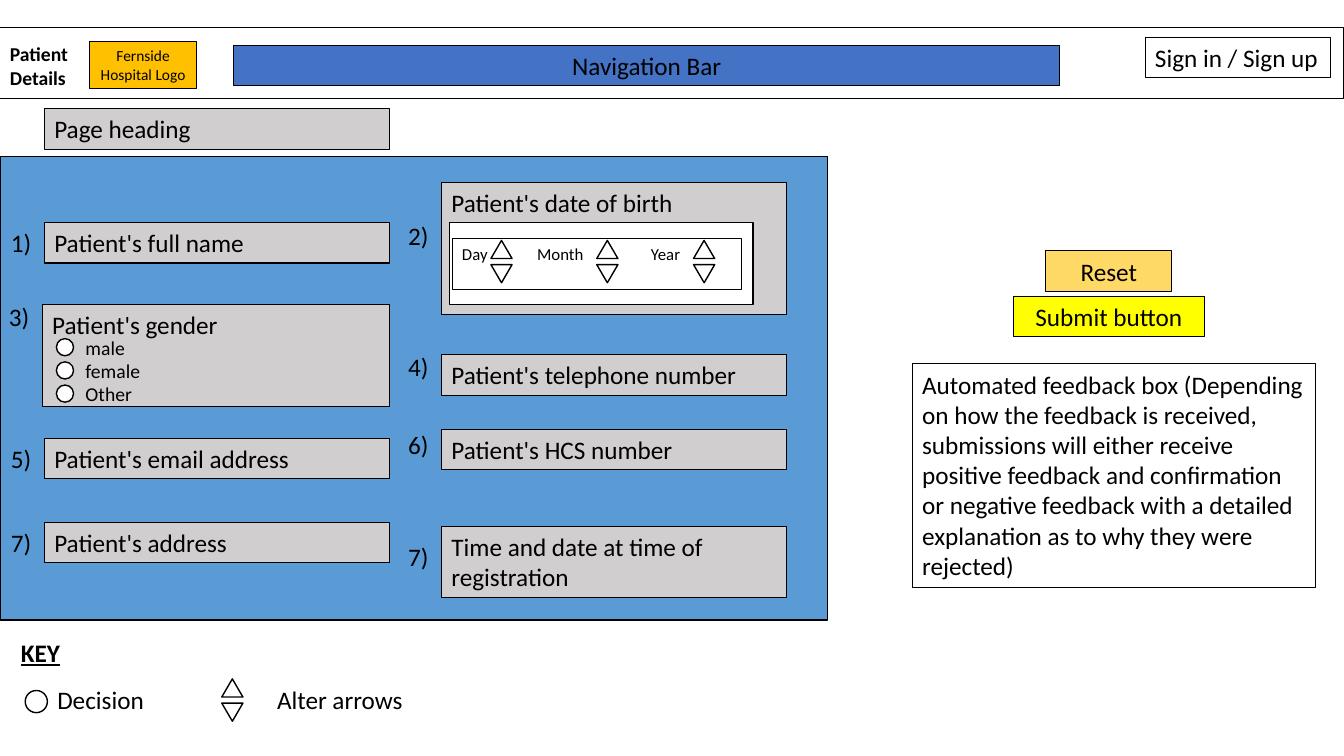
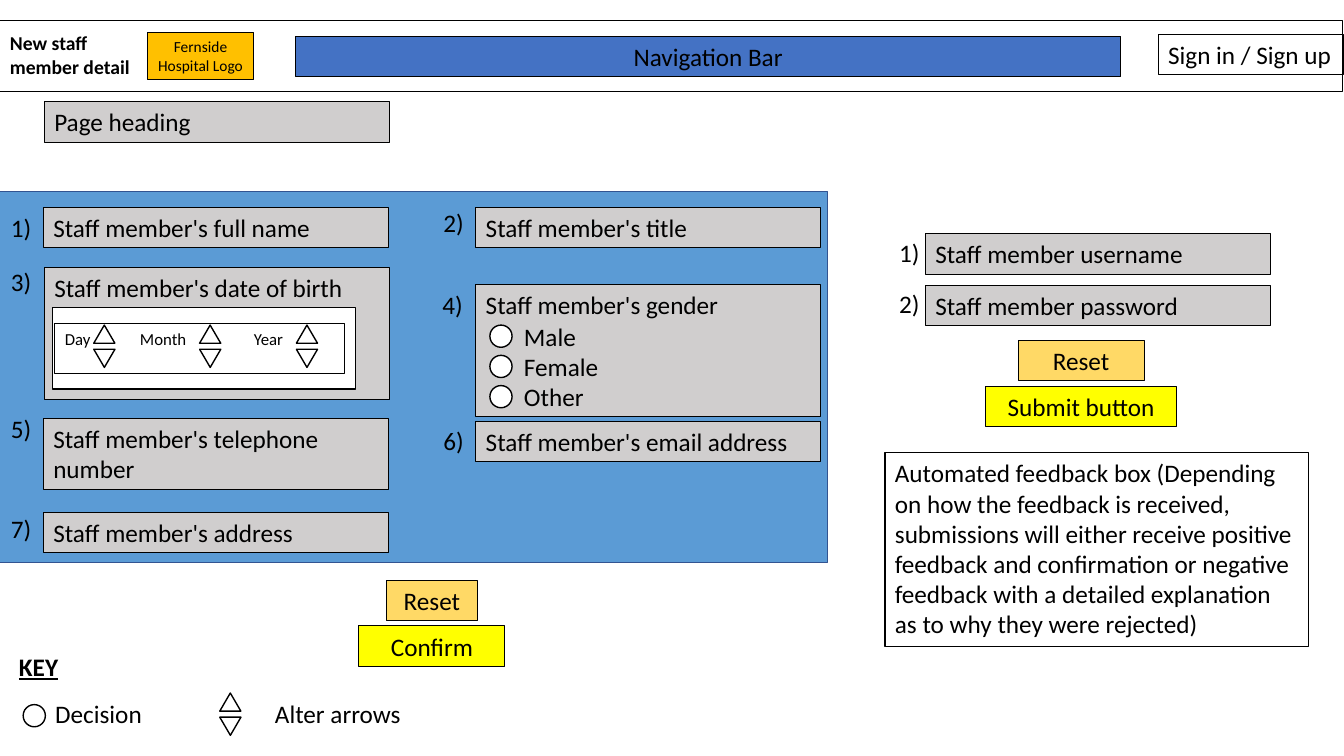
from pptx import Presentation
from pptx.dml.color import RGBColor
from pptx.enum.shapes import MSO_SHAPE
from pptx.enum.text import MSO_ANCHOR, PP_ALIGN
from pptx.util import Inches, Pt

RECT, DISC, TRI = (MSO_SHAPE.RECTANGLE, MSO_SHAPE.FLOWCHART_CONNECTOR,
                   MSO_SHAPE.ISOSCELES_TRIANGLE)
TOP, LEFT, MID = MSO_ANCHOR.TOP, PP_ALIGN.LEFT, PP_ALIGN.CENTER

# Grid: ten columns and ten rows to the inch
COLS, ROWS, CELL = 133.33, 75, 0.1
LINE, FIELD, LONG = 4, 34.2, 7.1   # one-line height, field width, two-line height
FONT = "Calibri"
BLACK, WHITE, GREY = "000000", "FFFFFF", "D0CECE"
PANEL, EDGE, NAV = "5B9BD5", "325491", "4472C4"
LOGO, RESET, SUBMIT = "FFC000", "FFD966", "FFFF00"
FEEDBACK = ("Automated feedback box (Depending on how the feedback is received, "
            "submissions will either receive positive feedback and confirmation "
            "or negative feedback with a detailed explanation as to why they "
            "were rejected)")


def color(code):
    return RGBColor.from_string(code)


def grid(*cells):
    return [Inches(c * CELL) for c in cells]


def write(shape, text, size, align=LEFT, bold=False, under=False):
    frame = shape.text_frame
    frame.word_wrap = True
    frame.vertical_anchor = TOP
    frame.text = text
    para = frame.paragraphs[0]
    para.alignment = align
    font = para.runs[0].font
    font.name, font.size, font.bold = FONT, Pt(size), bold
    font.underline = under
    font.color.rgb = color(BLACK)


def label(slide, box, text, size=18, **style):
    write(slide.shapes.add_textbox(*grid(*box)), text, size, **style)


def block(slide, box, text="", fill=None, kind=RECT, edge=BLACK, width=0.75,
          size=18, align=LEFT):
    shape = slide.shapes.add_shape(kind, *grid(*box))
    shape.shadow.inherit = False
    if fill:
        shape.fill.solid()
        shape.fill.fore_color.rgb = color(fill)
    else:
        shape.fill.background()
    shape.line.color.rgb = color(edge)
    shape.line.width = Pt(width)
    if text:
        write(shape, text, size, align)
    return shape


def disc(slide, x, y, side):
    block(slide, (x, y, side, side), fill=WHITE, kind=DISC, width=1)


def arrows(slide, x, y):
    """An up arrow over a down arrow."""
    for drop, turn in ((0, 0), (2.4, 180)):
        tri = block(slide, (x, y + drop, 2.1, 1.8), fill=WHITE, kind=TRI, width=1)
        tri.rotation = turn


def header(slide, box, title, wide, drops, logo, nav, sign):
    """Top band: title, logo, navigation and sign-in."""
    x, y, _, _ = box
    block(slide, box)
    rows = [y + drop for drop in drops]
    label(slide, (0, rows[0], wide, 5.7), title, 14, bold=True)
    block(slide, (logo, rows[1], 10.6, 4.7), "Fernside Hospital Logo", LOGO,
          size=11, align=MID)
    block(slide, (nav, rows[2], 81.9, LINE), "Navigation Bar", NAV, align=MID)
    block(slide, (sign, rows[3], 18.4, LINE), "Sign in / Sign up")
    block(slide, (4.4, y + 8.1, FIELD, LINE), "Page heading", GREY)


def field(slide, box, mark, text, drop=0, gap=4.3):
    """Numbered field; drop moves the number against the field's top."""
    x, y, _, _ = box
    block(slide, box, text, GREY)
    label(slide, (x - gap, y + drop, 4.1, LINE), mark)


def birth(slide, box, mark, text, drop):
    """Field with a day, month and year picker."""
    x, y, _, _ = box
    field(slide, box, mark, text, drop)
    block(slide, (x + 0.8, y + 4, 30.1, 8.1), fill=WHITE, width=1)
    block(slide, (x + 1.05, y + 5.6, 28.7, 5))
    for part, left, arrow in (("Day", 1.05, 4.9), ("Month", 8.5, 15.4),
                              ("Year", 19.8, 25)):
        label(slide, (x + left, y + 5.6, 8, 3), part, 12)
        arrows(slide, x + arrow, y + 5.75)


def choice(slide, box, mark, text, drop, names, first, step, side, size):
    """Field with one round button for each option."""
    x, y, _, _ = box
    field(slide, box, mark, text, drop)
    tall = 1 + size / 6
    for i, name in enumerate(names):
        mid = y + first + i * step
        disc(slide, x + 1.4, mid - side / 2, side)
        label(slide, (x + 1.6 + side, mid - tall / 2, 12, tall), name, size)


def buttons(slide, mid, y, reset, send, text):
    """Reset above a send button, both centred on mid."""
    for row, wide, name, fill in ((0, reset, "Reset", RESET),
                                  (4.5, send, text, SUBMIT)):
        block(slide, (mid - wide / 2, y + row, wide, LINE), name, fill, align=MID)


def legend(slide, x, y):
    label(slide, (x, y, 10, LINE), "KEY", bold=True, under=True)
    disc(slide, x + 1.4, y + 5.8, 2.2)
    label(slide, (x + 3.6, y + 4.7, 15, LINE), "Decision")
    arrows(slide, x + 20.9, y + 4.65)
    label(slide, (x + 25.4, y + 4.7, 16, LINE), "Alter arrows")


def patient(slide):
    header(slide, (0, 2.7, COLS, LONG), "Patient Details", 9,
           (1, 1.4, 1.8, 1), 8.9, 23.2, 113.6)
    block(slide, (0, 15.5, 82.1, 46), fill=PANEL, width=1)
    left, right = 4.4, 43.8
    for x, y, tall, mark, text, drop in (
            (left, 22.1, LINE, "1)", "Patient's full name", 0),
            (right, 35.2, LINE, "4)", "Patient's telephone number", -0.8),
            (left, 43.5, LINE, "5)", "Patient's email address", 0),
            (right, 42.6, LINE, "6)", "Patient's HCS number", -0.5),
            (left, 51.8, LINE, "7)", "Patient's address", 0),
            (right, 52.2, LONG, "7)", "Time and date at time of registration", 1)):
        field(slide, (x, y, FIELD, tall), mark, text, drop)
    birth(slide, (right, 18.1, FIELD, 13.1), "2)", "Patient's date of birth", 3.3)
    choice(slide, (4.2, 30.2, 34.4, 10.1), "3)", "Patient's gender", -0.8,
           ("male", "female", "Other"), 4.25, 2.3, 1.7, 14)
    buttons(slide, 110, 24.9, 12.5, 18.9, "Submit button")
    block(slide, (90.5, 36.1, 40, 22.2), FEEDBACK)
    legend(slide, 1.1, 62.7)


def staff(slide):
    header(slide, (-0.1, 2, COLS, LONG), "New staff member detail", 14,
           (0.6, 1.2, 1.6, 1.4), 14.6, 29.3, 114.9)
    block(slide, (-0.1, 19, 82.2, 36.8), fill=PANEL, edge=EDGE, width=1)
    left, right, login = 4.3, 47.2, 91.8
    for x, y, tall, mark, text, drop, gap in (
            (left, 20.6, LINE, "1)", "Staff member's full name", 0, 4.2),
            (right, 20.6, LINE, "2)", "Staff member's title", -0.5, 4.2),
            (left, 41.5, LONG, "5)", "Staff member's telephone number", -1, 4.2),
            (right, 41.8, LINE, "6)", "Staff member's email address", -0.1, 4.2),
            (left, 50.8, LINE, "7)", "Staff member's address", -0.4, 4.2),
            (login, 23.2, LINE, "1)", "Staff member username", -0.1, 3.6),
            (login, 28.3, LINE, "2)", "Staff member password", -0.2, 3.6)):
        field(slide, (x, y, FIELD, tall), mark, text, drop, gap)
    birth(slide, (4.4, 26.5, FIELD, 13.1), "3)", "Staff member's date of birth", -0.6)
    choice(slide, (right, 28.2, FIELD, 13.1), "4)", "Staff member's gender", 0,
           ("Male", "Female", "Other"), 5.15, 3, 2.2, 18)
    buttons(slide, 107.25, 33.8, 12.5, 18.9, "Submit button")
    buttons(slide, 42.85, 57.6, 9.1, 14.5, "Confirm")
    block(slide, (87.8, 44.9, 42, 19.2), FEEDBACK)
    legend(slide, 0.9, 64.1)


def main():
    deck = Presentation()
    deck.slide_width, deck.slide_height = grid(COLS, ROWS)
    for draw in (patient, staff):
        draw(deck.slides.add_slide(deck.slide_layouts[6]))
    deck.save("out.pptx")


if __name__ == "__main__":
    main()
